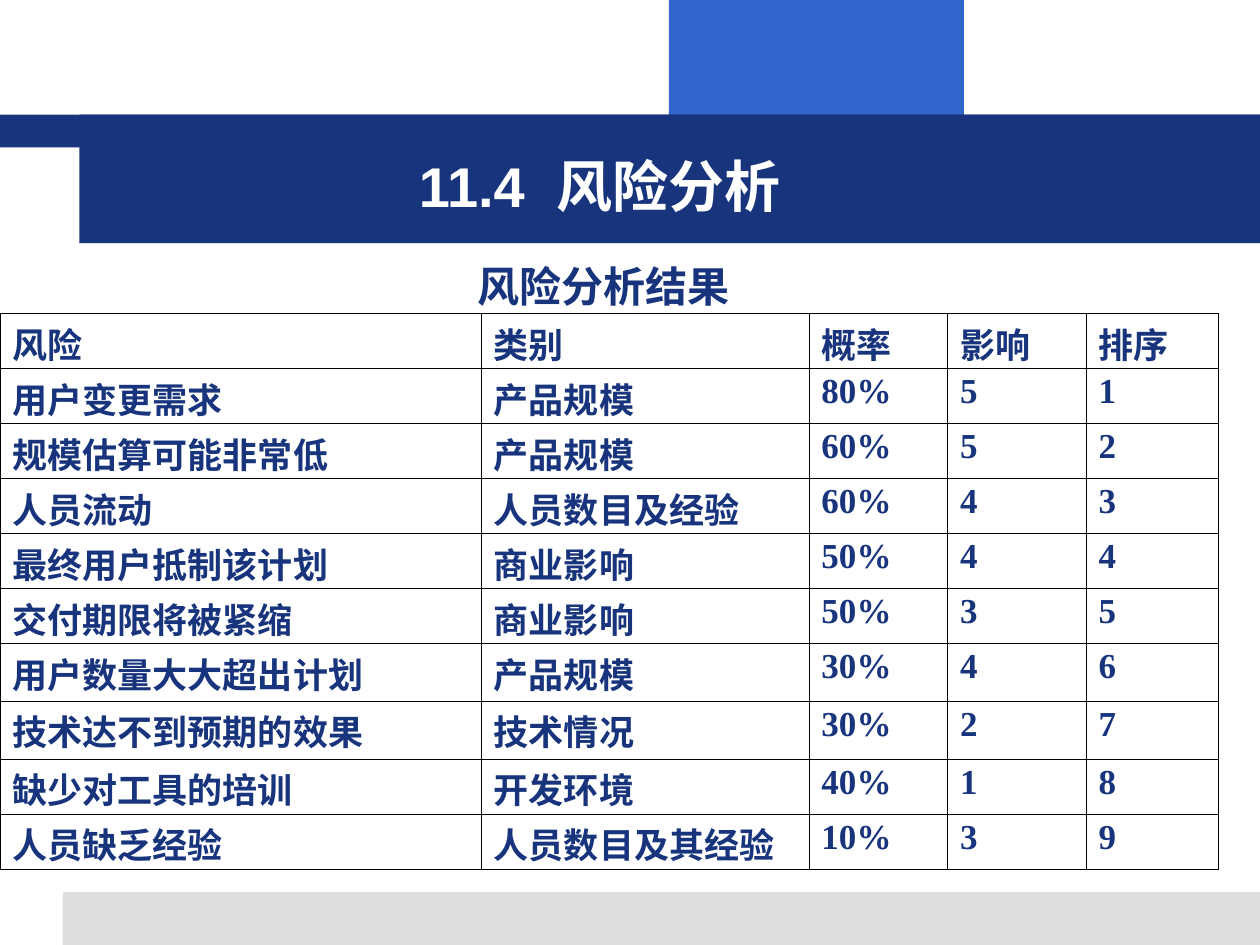
from pptx import Presentation
from pptx.dml.color import RGBColor
from pptx.enum.shapes import MSO_SHAPE
from pptx.enum.text import MSO_ANCHOR, PP_ALIGN
from pptx.oxml import parse_xml
from pptx.oxml.ns import nsdecls
from pptx.util import Inches, Pt

TITLE = "11.4  风险分析"
CAPTION = "风险分析结果 "
ROWS = [
    ("风险", "类别", "概率", "影响", "排序"),
    ("用户变更需求", "产品规模", "80%", "5", "1"),
    ("规模估算可能非常低", "产品规模", "60%", "5", "2"),
    ("人员流动", "人员数目及经验", "60%", "4", "3"),
    ("最终用户抵制该计划", "商业影响", "50%", "4", "4"),
    ("交付期限将被紧缩", "商业影响", "50%", "3", "5"),
    ("用户数量大大超出计划", "产品规模", "30%", "4", "6"),
    ("技术达不到预期的效果", "技术情况", "30%", "2", "7"),
    ("缺少对工具的培训", "开发环境", "40%", "1", "8"),
    ("人员缺乏经验", "人员数目及其经验", "10%", "3", "9"),
]
COLORS = {"navy": "17347D", "blue": "3366CC", "gray": "DDDDDD",
          "white": "FFFFFF", "black": "000000"}
BARS = [
    ("blue", 5.31, 0, 2.34, 0.92),
    ("gray", 0.5, 7.08, 9.5, 0.42),
    ("navy", 0, 0.91, 10, 0.26),
    ("navy", 0.63, 0.91, 9.37, 1.02),
]
COL_WIDTHS = [3.82, 2.6, 1.1, 1.1, 1.05]
TABLE_HEIGHT, TALL_ROW_HEIGHT, TALL_ROWS = 4.41, 0.46, (6, 7)
OUTER_SIDE, BOTTOM_EDGE, INNER = 0.34, 0.96, 0.45


def color(name):
    return RGBColor.from_string(COLORS[name])


def style(p, size, font, name):
    p.font.size, p.font.name, p.font.bold = Pt(size), font, True
    p.font.color.rgb = color(name)


def center_text(sp, text, size, name, box):
    sp.left, sp.top, sp.width, sp.height = map(Inches, box)
    tf = sp.text_frame
    tf.word_wrap = True
    tf.text = text
    p = tf.paragraphs[0]
    p.alignment = PP_ALIGN.CENTER
    style(p, size, "Arial", name)
    return tf


def set_borders(cell, **widths):
    tcPr = cell._tc.get_or_add_tcPr()
    for i, (side, width) in enumerate(widths.items()):
        tcPr.insert(i, parse_xml(
            f'<a:{side} {nsdecls("a")} w="{Pt(width)}"><a:solidFill>'
            f'<a:srgbClr val="{COLORS["black"]}"/></a:solidFill></a:{side}>'))


def add_risk_table(s):
    row_height = ((TABLE_HEIGHT - TALL_ROW_HEIGHT * len(TALL_ROWS))
                  / (len(ROWS) - len(TALL_ROWS)))
    last_row, last_col = len(ROWS) - 1, len(COL_WIDTHS) - 1
    table = s.shapes.add_table(len(ROWS), len(COL_WIDTHS), 0, Inches(2.49),
                               Inches(sum(COL_WIDTHS)), Inches(TABLE_HEIGHT)).table
    table.first_row = table.horz_banding = False
    for col, width in zip(table.columns, COL_WIDTHS):
        col.width = Inches(width)
    for r, values in enumerate(ROWS):
        table.rows[r].height = Inches(TALL_ROW_HEIGHT if r in TALL_ROWS else row_height)
        for c, value in enumerate(values):
            cell = table.cell(r, c)
            cell.text = value
            cell.fill.background()
            cell.margin_top, cell.margin_bottom = Inches(0.03), 0
            p = cell.text_frame.paragraphs[0]
            pPr = p._p.get_or_add_pPr()
            pPr.set("marL", str(Inches(0.38)))
            pPr.set("indent", str(-Inches(0.38)))
            style(p, 20, "Times New Roman", "navy")
            set_borders(cell,
                        lnL=OUTER_SIDE if c == 0 else INNER,
                        lnR=OUTER_SIDE if c == last_col else INNER,
                        lnT=INNER,
                        lnB=BOTTOM_EDGE if r == last_row else INNER)


def main():
    prs = Presentation()
    prs.slide_width, prs.slide_height = Inches(10), Inches(7.5)
    s = prs.slides.add_slide(prs.slide_layouts[5])
    for name, *box in BARS:
        sp = s.shapes.add_shape(MSO_SHAPE.RECTANGLE, *map(Inches, box))
        sp.shadow.inherit = False
        sp.fill.solid()
        sp.fill.fore_color.rgb = color(name)
        sp.line.fill.background()

    caption = s.shapes.add_textbox(0, 0, 0, 0)
    center_text(caption, CAPTION, 24, "navy", (0, 2.02, 9.65, 0.5))

    title = s.shapes.title
    s.shapes._spTree.append(title._element)
    tf = center_text(title, TITLE, 32, "white", (0.98, 1.15, 7.56, 0.64))
    tf.vertical_anchor = MSO_ANCHOR.MIDDLE

    add_risk_table(s)
    prs.save("out.pptx")


if __name__ == "__main__":
    main()
